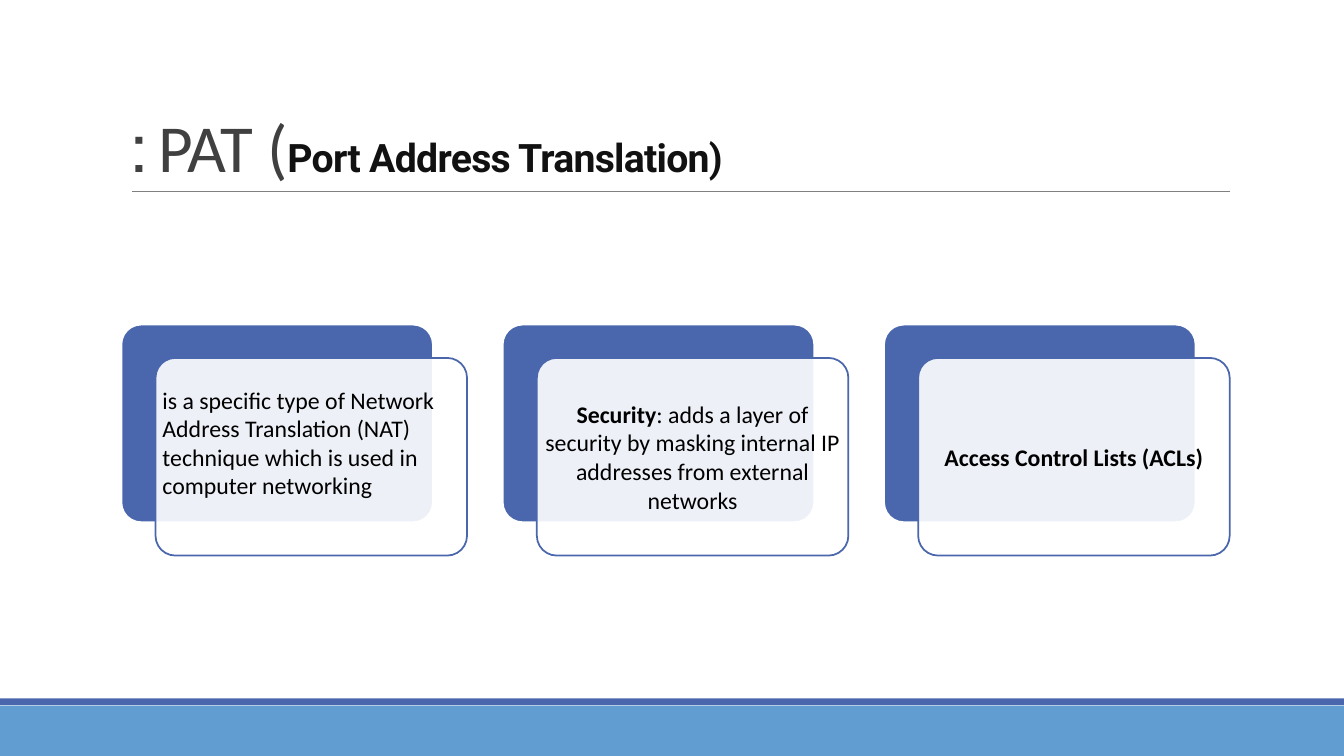
import dataclasses

import lxml.etree
import pptx
import pptx.dml.color
import pptx.enum.shapes
import pptx.enum.text
import pptx.oxml.ns
import pptx.shapes.autoshape
import pptx.slide
import pptx.text.text
import pptx.util

Cm = pptx.util.Cm
Pt = pptx.util.Pt
Shape = pptx.enum.shapes.MSO_SHAPE
Align = pptx.enum.text.PP_ALIGN
Anchor = pptx.enum.text.MSO_ANCHOR

COLORS = {
    "white": "FFFFFF",
    "black": "000000",
    "indigo": "4A66AC",
    "sky": "629DD1",
    "rule": "808080",
    "title": "404040",
    "term": "111111",
}
PAGE_WIDTH, PAGE_HEIGHT = 33.87, 19.05
CARD_LEFT, CARD_TOP, CARD_STEP = 3.06, 8.18, 9.61
CARD_WIDTH, CARD_HEIGHT = 7.85, 4.98
FRONT_SHIFT_X, FRONT_SHIFT_Y = 0.86, 0.84


@dataclasses.dataclass(frozen=True)
class Span:
    text: str
    bold: bool = False


@dataclasses.dataclass(frozen=True)
class Card:
    spans: tuple[Span, ...]
    align: Align = Align.CENTER


@dataclasses.dataclass(frozen=True)
class TitleSpan:
    text: str
    font: str
    size: float
    color: str
    bold: bool = False


CARDS = (
    Card((Span("is a specific type of Network Address Translation (NAT) technique "
               "which is used in computer networking\v"),), Align.LEFT),
    Card((Span("Security", bold=True),
          Span(": adds a layer of security by masking internal IP addresses "
               "from external networks"))),
    Card((Span("Access Control Lists (ACLs)", bold=True),)),
)
TITLE = (
    TitleSpan("PAT (", "Calibri", 48, "title"),
    TitleSpan("Port Address Translation) ", "Roboto", 28, "term", bold=True),
    TitleSpan(":", "Calibri", 48, "title"),
)


def rgb(name: str) -> pptx.dml.color.RGBColor:
    return pptx.dml.color.RGBColor.from_string(COLORS[name])


def add_box(page: pptx.slide.Slide, kind: Shape, left: float, top: float,
            width: float, height: float, fill: str,
            line: str | None = None) -> pptx.shapes.autoshape.Shape:
    """Add a filled shape, measured in centimetres, outlined only if line is given."""
    box = page.shapes.add_shape(kind, Cm(left), Cm(top), Cm(width), Cm(height))
    box.shadow.inherit = False
    box.fill.solid()
    box.fill.fore_color.rgb = rgb(fill)
    if line:
        box.line.color.rgb = rgb(line)
        box.line.width = Pt(1.25)
    else:
        box.line.fill.background()
    return box


def set_opacity(box: pptx.shapes.autoshape.Shape, percent: int) -> None:
    color = box.element.spPr.find(pptx.oxml.ns.qn("a:solidFill"))[0]
    alpha = lxml.etree.SubElement(color, pptx.oxml.ns.qn("a:alpha"))
    alpha.set("val", str(percent * 1000))


def add_footer(page: pptx.slide.Slide) -> None:
    add_box(page, Shape.RECTANGLE, 0, 17.78, PAGE_WIDTH, 1.27, "sky")
    add_box(page, Shape.RECTANGLE, 0, 17.6, PAGE_WIDTH, 0.17, "indigo")


def add_title_rule(page: pptx.slide.Slide) -> None:
    rule = page.shapes.add_connector(pptx.enum.shapes.MSO_CONNECTOR.STRAIGHT,
                                     Cm(3.33), Cm(4.82), Cm(31), Cm(4.82))
    rule.line.color.rgb = rgb("rule")
    rule.line.width = Pt(0.5)
    lxml.etree.SubElement(rule.element.spPr, pptx.oxml.ns.qn("a:effectLst"))


def add_title(page: pptx.slide.Slide) -> None:
    """Add the right-to-left title, whose last character shows at the far left."""
    box = page.shapes.add_textbox(Cm(3.05), Cm(0.79), Cm(27.94), Cm(4.04))
    frame = box.text_frame
    frame.word_wrap = True
    frame.vertical_anchor = Anchor.BOTTOM
    para = frame.paragraphs[0]
    para.alignment = Align.LEFT
    para.line_spacing = 0.85
    para._p.get_or_add_pPr().set("rtl", "1")
    for part in TITLE:
        span = para.add_run()
        span.text = part.text
        span.font.name = part.font
        span.font.size = Pt(part.size)
        span.font.bold = part.bold
        span.font.color.rgb = rgb(part.color)
        span.font._element.set("spc", "-50")


def fill_card(box: pptx.shapes.autoshape.Shape, card: Card) -> None:
    frame = box.text_frame
    frame.word_wrap = True
    frame.vertical_anchor = Anchor.MIDDLE
    frame.margin_left = frame.margin_right = Cm(0.03)
    frame.margin_top = frame.margin_bottom = Cm(0.03)
    para = frame.paragraphs[0]
    para.alignment = card.align
    para.font.name = "Calibri"
    para.font.size = Pt(17)
    para.font.color.rgb = rgb("black")
    for part in card.spans:
        words, *breaks = part.text.split("\v")
        span = para.add_run()
        span.text = words
        span.font.bold = part.bold
        for _ in breaks:
            para.add_line_break()


def add_card(page: pptx.slide.Slide, left: float, card: Card) -> None:
    back = add_box(page, Shape.ROUNDED_RECTANGLE, left, CARD_TOP,
                   CARD_WIDTH, CARD_HEIGHT, "indigo", "white")
    front = add_box(page, Shape.ROUNDED_RECTANGLE, left + FRONT_SHIFT_X,
                    CARD_TOP + FRONT_SHIFT_Y, CARD_WIDTH, CARD_HEIGHT, "white", "indigo")
    for box in (back, front):
        box.adjustments[0] = 0.1
    set_opacity(front, 90)
    fill_card(front, card)


def main() -> None:
    deck = pptx.Presentation()
    deck.slide_width, deck.slide_height = Cm(PAGE_WIDTH), Cm(PAGE_HEIGHT)
    page = deck.slides.add_slide(deck.slide_layouts[6])
    add_footer(page)
    add_title_rule(page)
    add_title(page)
    for index, card in enumerate(CARDS):
        add_card(page, CARD_LEFT + index * CARD_STEP, card)
    deck.save("out.pptx")


if __name__ == "__main__":
    main()
